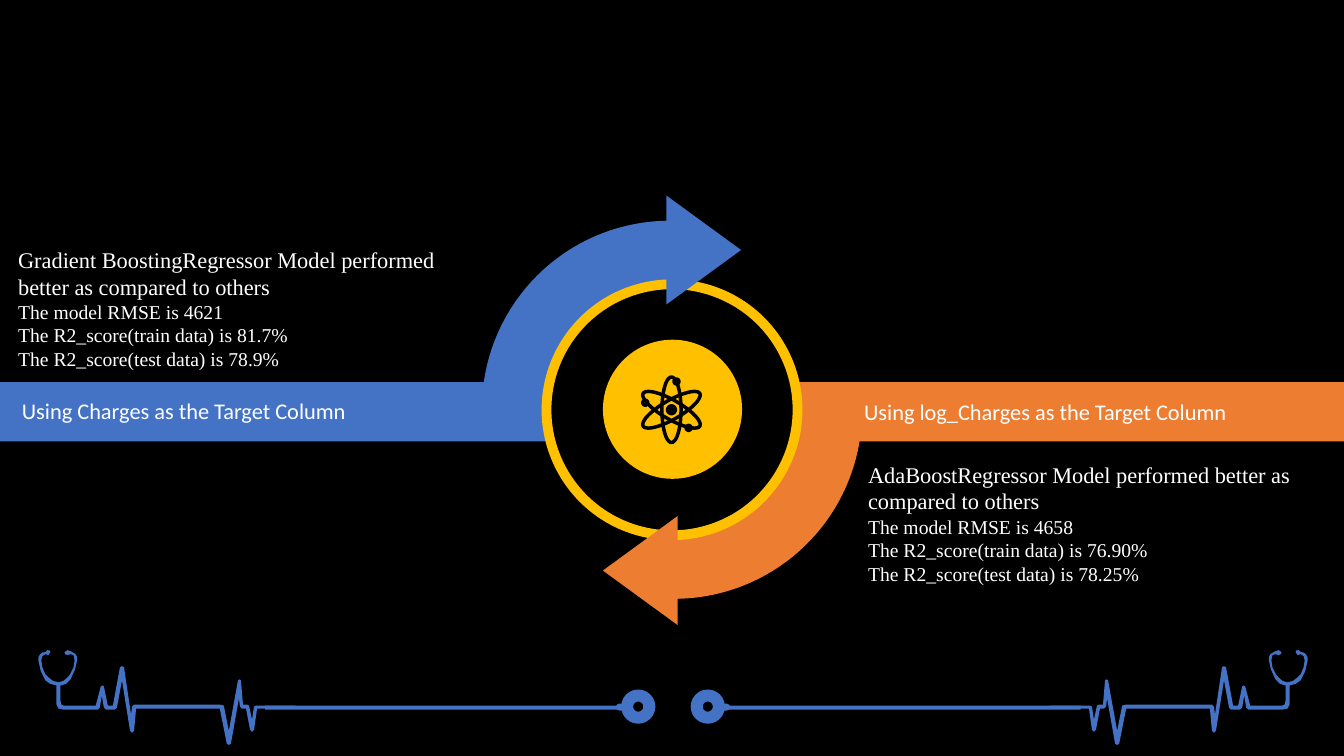
import math
from pptx import Presentation, util as u
from pptx.dml.color import RGBColor
from pptx.enum import shapes as s, text as t
from pptx.oxml import xmlchemy as x

COLS, ROWS = 1333, 750
CELL = u.Inches(13.33) / COLS
FINE = 10
MIRROR = 1335

BLACK = RGBColor(0x00, 0x00, 0x00)
WHITE = RGBColor(0xFF, 0xFF, 0xFF)
BLUE = RGBColor(0x44, 0x72, 0xC4)
ORANGE = RGBColor(0xED, 0x7D, 0x31)
GOLD = RGBColor(0xFF, 0xC0, 0x00)

KIND = s.MSO_SHAPE
HEAD = {"size": u.Pt(16), "name": "Calibri", "bold": False}
LEAD = {"size": u.Pt(16), "name": "Times New Roman", "bold": False}
FACT = {**LEAD, "size": u.Pt(14)}
FRAME = {
    "word_wrap": True,
    "auto_size": t.MSO_AUTO_SIZE.NONE,
    "vertical_anchor": t.MSO_ANCHOR.TOP,
}

PULSE = [
    (38, 655), (38.3, 651.5), (40, 649), (42, 647.4), (45, 647), (47, 645),
    (49.5, 645.4), (50, 647), (48, 650), (45, 649), (42, 651), (41, 655),
    (42, 662), (45, 669), (48, 672), (52.5, 675.5), (58, 677), (63, 675.5),
    (67, 672), (69.5, 669), (73, 662), (74, 655), (73, 650), (70, 649),
    (67, 650), (64.5, 649), (64, 647), (67, 645), (70, 646), (75, 649),
    (76.3, 651.5), (76.5, 655), (74.5, 664), (70, 674), (65.5, 678.5),
    (60, 680), (60, 695), (60.7, 698.8), (63, 700), (95, 700), (100, 681),
    (101.5, 680), (103, 681), (107, 700), (112, 700), (119, 662), (121, 661),
    (123, 662), (130, 709), (131, 701), (133, 699), (218, 699), (222, 700),
    (227, 725), (236, 675), (237.5, 674), (239, 675), (241, 699), (245, 699),
    (247, 700), (250, 714), (252, 701), (254, 700), (293, 700), (293, 703),
    (255, 703), (252, 724), (250, 726), (248, 724), (244, 703), (240, 703),
    (238, 701), (237, 693), (229, 738), (227, 739), (225, 738), (218, 703),
    (135, 703), (133, 725), (131, 727), (129, 725), (121, 675), (116, 702),
    (114, 704), (105, 704), (103, 702), (101, 690), (99, 702), (97, 704),
    (63, 704), (58, 703), (56, 699), (56, 680), (50, 678.5), (45, 675),
    (40.5, 666),
]


def paint(shape, fill=None, line=None, width=0):
    shape.shadow.inherit = False
    if fill is None:
        shape.fill.background()
    else:
        shape.fill.solid()
        shape.fill.fore_color.rgb = fill
    if line is None:
        shape.line.fill.background()
    else:
        shape.line.color.rgb = line
        shape.line.width = u.Pt(width)


def place(shape, box):
    for key, val in zip(("left", "top", "width", "height"), box):
        setattr(shape, key, round(val * CELL))


def add(slide, kind, box, turn=0, bend=(), **look):
    shape = slide.shapes.add_shape(kind, 0, 0, 0, 0)
    place(shape, box)
    shape.rotation = turn
    for i, val in enumerate(bend):
        shape.adjustments[i] = val
    paint(shape, **look)


def trace(slide, loops, **look):
    loops = [[(px * FINE, py * FINE) for px, py in loop] for loop in loops]
    pen = slide.shapes.build_freeform(*loops[0][0], scale=CELL / FINE)
    for i, loop in enumerate(loops):
        if i:
            pen.move_to(*loop[0])
        pen.add_line_segments(loop[1:], close=True)
    paint(pen.convert_to_shape(), **look)


def oval(mid, wide, tall, tilt=0, steps=40):
    c, d = math.cos(math.radians(tilt)), math.sin(math.radians(tilt))
    turns = [2 * math.pi * i / steps for i in range(steps)]
    spots = [(wide * math.cos(a), tall * math.sin(a)) for a in turns]
    return [(mid[0] + px * c - py * d, mid[1] + px * d + py * c)
            for px, py in spots]


def atom(slide, mid):
    loops = [oval(mid, 9.5, 32.5, tilt) for tilt in (0, 60, 120)]
    loops += [oval(mid, r, r) for r in (1.5, 3.8)]
    loops += [oval((mid[0] + dx, mid[1] + dy), 2.4, 2.4)
              for dx, dy in ((5, -28), (-26, -7), (17, 18))]
    trace(slide, loops, line=BLACK, width=2.5)


def scope(slide, flip):
    def side(left, wide):
        return MIRROR - left - wide if flip else left

    trace(slide, [[(side(px, 0), py) for px, py in PULSE]], fill=BLUE)
    add(slide, KIND.OVAL, (side(622, 22), 690, 22, 22), line=BLUE, width=8.57)
    add(slide, KIND.ROUNDED_RECTANGLE, (side(611, 11), 698, 11, 7),
        bend=[0.5], fill=BLUE)
    add(slide, KIND.RECTANGLE, (side(263, 356), 700, 356, 4), fill=BLUE)


def wheel(slide):
    add(slide, KIND.RECTANGLE, (0, 379, 542, 59), fill=BLUE)
    add(slide, KIND.RECTANGLE, (COLS - 542, 379, 542, 59), 180, fill=ORANGE)
    arc = [107.755, 162]
    add(slide, KIND.PIE, (478, 219, 373, 373), bend=arc, fill=BLUE)
    add(slide, KIND.PIE, (482, 221, 373, 373), 180, arc, fill=ORANGE)
    add(slide, KIND.OVAL, (542, 282, 249, 249), fill=BLACK, line=GOLD, width=7)
    add(slide, KIND.ISOSCELES_TRIANGLE, (644, 211, 108, 74), 90, fill=BLUE)
    add(slide, KIND.ISOSCELES_TRIANGLE, (581, 529, 108, 74), 270, fill=ORANGE)
    add(slide, KIND.OVAL, (598, 337, 138, 138), fill=GOLD)


def write(slide, idx, box, lines, align=t.PP_ALIGN.LEFT):
    shape = slide.placeholders[idx]
    place(shape, box)
    slide.shapes._spTree.append(shape._element)
    frame = shape.text_frame
    for key, val in FRAME.items():
        setattr(frame, key, val)
    for i, (words, form) in enumerate(lines):
        para = frame.add_paragraph() if i else frame.paragraphs[0]
        para.alignment = align
        para.space_before = u.Pt(0)
        props = para._p.get_or_add_pPr()
        props.set("marL", "0")
        props.set("indent", "0")
        props.append(x.OxmlElement("a:buNone"))
        run = para.add_run()
        run.text = words
        for key, val in form.items():
            setattr(run.font, key, val)
        run.font.color.rgb = WHITE


def facts(model, rmse, train, test):
    return [
        (f"{model} Model performed better as compared to others", LEAD),
        (f"The model RMSE is {rmse}", FACT),
        (f"The R2_score(train data) is {train}%", FACT),
        (f"The R2_score(test data) is {test}%", FACT),
    ]


def main():
    deck = Presentation()
    deck.slide_width, deck.slide_height = round(COLS * CELL), round(ROWS * CELL)
    slide = deck.slides.add_slide(deck.slide_layouts[4])
    slide.background.fill.solid()
    slide.background.fill.fore_color.rgb = BLACK
    title = slide.shapes.title._element
    title.getparent().remove(title)
    for flip in (True, False):
        scope(slide, flip)
    wheel(slide)
    write(slide, 3, (847, 390, 427, 64),
          [("Using log_Charges as the Target Column", HEAD)])
    write(slide, 1, (0, 389, 353, 37),
          [("Using Charges as the Target Column", HEAD)], t.PP_ALIGN.RIGHT)
    write(slide, 4, (851, 452, 446, 135),
          facts("AdaBoostRegressor", "4658", "76.90", "78.25"))
    write(slide, 2, (8, 239, 482, 135),
          facts("Gradient BoostingRegressor", "4621", "81.7", "78.9"))
    atom(slide, (666, 406.5))
    deck.save("out.pptx")


if __name__ == "__main__":
    main()
